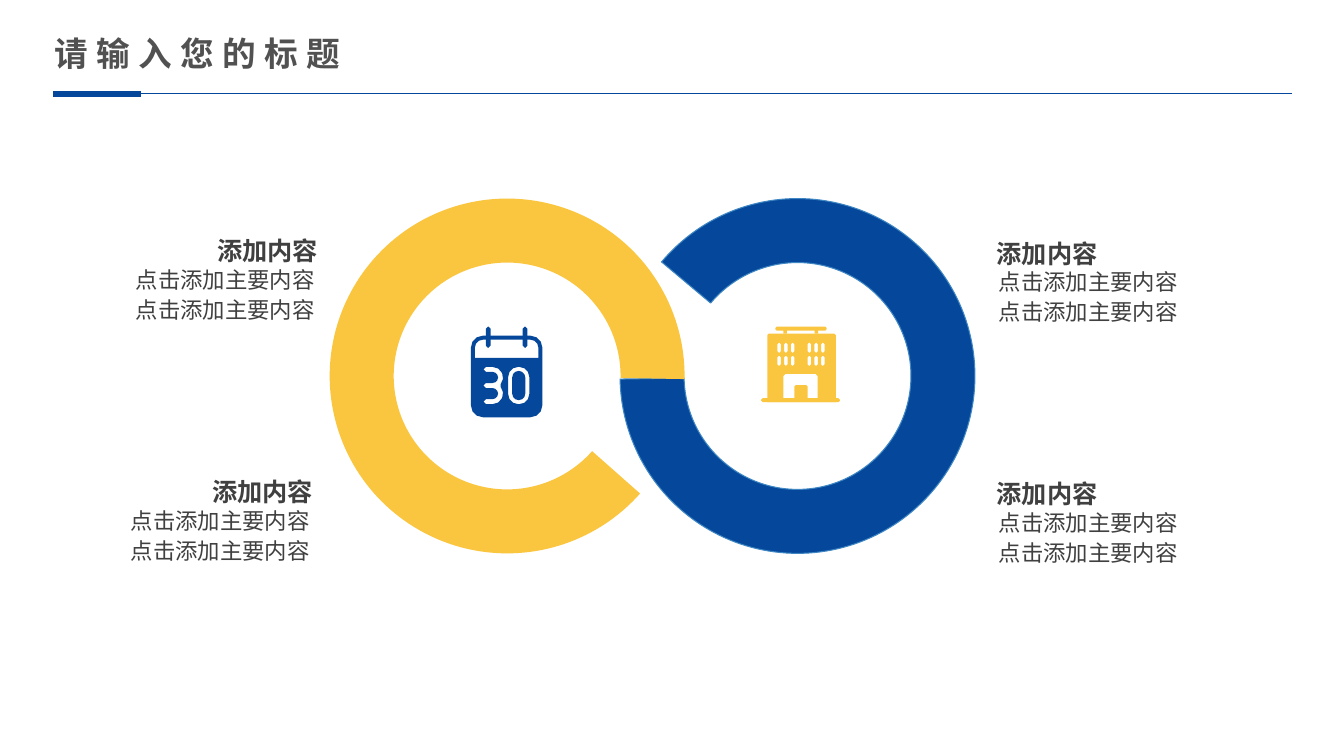
from math import cos, radians, sin

from lxml import etree
from pptx import Presentation
from pptx.dml.color import RGBColor
from pptx.enum.shapes import MSO_CONNECTOR, MSO_SHAPE
from pptx.enum.text import MSO_ANCHOR, MSO_AUTO_SIZE, PP_ALIGN
from pptx.oxml.ns import qn
from pptx.util import Inches, Pt

BLUE = RGBColor(0x05, 0x48, 0x9B)
EDGE_BLUE = RGBColor(0x3F, 0x87, 0xC3)
YELLOW = RGBColor(0xFB, 0xC6, 0x3F)
TEXT_GREY = RGBColor(0x40, 0x40, 0x40)
TITLE_GREY = RGBColor(0x51, 0x51, 0x51)
FONT = "Noto Sans CJK SC"

WIDTH, HEIGHT = Inches(13.33), Inches(7.5)
ROWS = 75
CELL = HEIGHT / ROWS

LEFT_CENTRE = (50.3, 37.3)
RIGHT_CENTRE = (79.1, 37.3)
RING_RADIUS, RING_BAND = 17.6, 6.35
# Left and top of each body text, then the offset of its heading
CAPTIONS = [
    (11.7, 25.5, 7, -3.1),
    (97.3, 25.7, -1.3, -3),
    (11.2, 49.4, 7, -3.1),
    (97.3, 49.6, -1.3, -3.1),
]


def cells(n):
    return round(n * CELL)


def arc(cx, cy, radius, start, end):
    """Points of an arc; angles run clockwise from the right."""
    if radius == 0:
        return [(cx, cy)]
    steps = max(1, round(abs(end - start) / (90 if radius < 0.3 else 30)))
    angles = [radians(start + (end - start) * i / steps) for i in range(steps + 1)]
    return [(cx + radius * cos(a), cy + radius * sin(a)) for a in angles]


def box(x, y, w, h, top=0, bottom=None):
    """Outline of a rectangle with rounded top and bottom corners."""
    bottom = top if bottom is None else bottom
    right, base = x + w, y + h
    return (
        arc(x + top, y + top, top, 180, 270)
        + arc(right - top, y + top, top, 270, 360)
        + arc(right - bottom, base - bottom, bottom, 0, 90)
        + arc(x + bottom, base - bottom, bottom, 90, 180)
    )


def paint(sp, color, edge=None):
    sp.shadow.inherit = False
    sp.fill.solid()
    sp.fill.fore_color.rgb = color
    if edge is None:
        sp.line.fill.background()
    else:
        sp.line.color.rgb = edge
        sp.line.width = Pt(0.75)


def add_ring(s, centre, start, end, color, edge=None):
    """Open ring drawn clockwise between two angles in degrees."""
    left, top = (cells(c - RING_RADIUS) for c in centre)
    size = cells(2 * RING_RADIUS)
    ring = s.shapes.add_shape(MSO_SHAPE.BLOCK_ARC, left, top, size, size)
    ring.adjustments[0] = start * 0.6
    ring.adjustments[1] = end * 0.6
    ring.adjustments[2] = RING_BAND / (2 * RING_RADIUS)
    paint(ring, color, edge)


def add_outline(s, centre, contours, color):
    """Draw contours given in cells from a centre; inner ones are holes."""
    placed = [
        [(cells(centre[0] + x), cells(centre[1] + y)) for x, y in contour]
        for contour in contours
    ]
    builder = s.shapes.build_freeform(*placed[0][0], scale=1.0)
    for i, contour in enumerate(placed):
        if i:
            builder.move_to(*contour[0])
        builder.add_line_segments(contour[1:], close=True)
    paint(builder.convert_to_shape(), color)


def add_calendar(s, centre, color):
    stroke_x, cap_x = -1.45, -2.1
    upper, lower = 0.15, 1.75
    three = (
        arc(stroke_x, upper, 1.05, -90, 40)
        + arc(stroke_x, lower, 1.05, -40, 90)
        + arc(cap_x, 2.55, 0.25, 90, 270)
        + arc(stroke_x, lower, 0.55, 90, -90)
        + arc(cap_x, 0.95, 0.25, 90, 270)
        + arc(stroke_x, upper, 0.55, 90, -90)
        + arc(cap_x, -0.65, 0.25, 90, 270)
    )
    zero = [box(0.1, -0.9, 2.1, 3.7, 1), box(0.5, -0.5, 1.3, 2.9, 0.65)]
    header = box(-3.2, -3.6, 6.3, 1.8, 0.8, 0)
    page = box(-3.6, -4, 7.1, 8.1, 1.2)
    add_outline(s, centre, [page, header, three, *zero], color)
    pegs = [box(x, -4.9, 0.45, 2.1, 0.2) for x in (-2.1, 1.55)]
    add_outline(s, centre, pegs, color)


def add_building(s, centre, color):
    windows = [
        box(group + 0.67 * i, y, 0.35, 1, 0.15)
        for y in (-3.3, -2)
        for group in (-2, 1)
        for i in range(3)
    ]
    walls = box(-3, -4.2, 6.8, 6.8, 0.15, 0)
    porch = box(-1.4, -0.2, 3.4, 2.4, 0.2, 0)
    door = box(-0.3, 0.9, 1.3, 1.3, 0.15, 0)
    add_outline(s, centre, [walls, porch, door, *windows], color)
    roof = box(-2.2, -4.9, 5.1, 0.4, 0.15)
    posts = [box(x, -4.5, 0.35, 0.3) for x in (-1.4, 1.7)]
    base = box(-3.6, 2.2, 7.8, 0.4, 0.15)
    add_outline(s, centre, [roof, *posts, base], color)


def style_paragraph(p, size, color, bold, align):
    p.alignment = align
    font = p.font
    font.size, font.bold, font.name = Pt(size), bold, FONT
    font.color.rgb = color
    etree.SubElement(font._element, qn("a:ea")).set("typeface", FONT)


def add_text(s, x, y, w, h, lines, size, bold=False):
    tf = s.shapes.add_textbox(cells(x), cells(y), cells(w), cells(h)).text_frame
    tf.word_wrap = True
    tf.auto_size = MSO_AUTO_SIZE.SHAPE_TO_FIT_TEXT
    tf.text = "\n".join(lines)
    for p in tf.paragraphs:
        p.line_spacing = 1.14
        style_paragraph(p, size, TEXT_GREY, bold, PP_ALIGN.CENTER)


def add_caption(s, x, y, dx, dy):
    add_text(s, x, y, 21.3, 7.1, ["点击添加主要内容"] * 2, 16)
    add_text(s, x + dx, y + dy, 15.7, 4.2, ["添加内容"], 18, bold=True)


def add_rule(s, start, end, width):
    y = cells(9.3)
    line = s.shapes.add_connector(MSO_CONNECTOR.STRAIGHT, cells(start), y, cells(end), y)
    line.line.color.rgb = BLUE
    line.line.width = Pt(width)
    etree.SubElement(line._element.spPr, qn("a:effectLst"))


def set_title(s, text):
    title = s.shapes.title
    title.left, title.top = cells(4.4), cells(2.8)
    title.width, title.height = cells(35), cells(5)
    tf = title.text_frame
    tf.text = text
    tf.word_wrap = True
    tf.auto_size = MSO_AUTO_SIZE.NONE
    tf.vertical_anchor = MSO_ANCHOR.TOP
    p = tf.paragraphs[0]
    style_paragraph(p, 24, TITLE_GREY, True, PP_ALIGN.LEFT)
    p.font._element.set("spc", "600")


def main():
    prs = Presentation()
    prs.slide_width, prs.slide_height = WIDTH, HEIGHT
    s = prs.slides.add_slide(prs.slide_layouts[5])
    set_title(s, "请输入您的标题")
    add_rule(s, 5.3, 14, 4.5)
    add_rule(s, 14, 128.1, 0.5)
    add_ring(s, RIGHT_CENTRE, 220, 179, BLUE, EDGE_BLUE)
    add_ring(s, LEFT_CENTRE, 41.5, 1, YELLOW)
    add_calendar(s, LEFT_CENTRE, BLUE)
    add_building(s, RIGHT_CENTRE, YELLOW)
    for caption in CAPTIONS:
        add_caption(s, *caption)
    prs.save("out.pptx")


if __name__ == "__main__":
    main()
